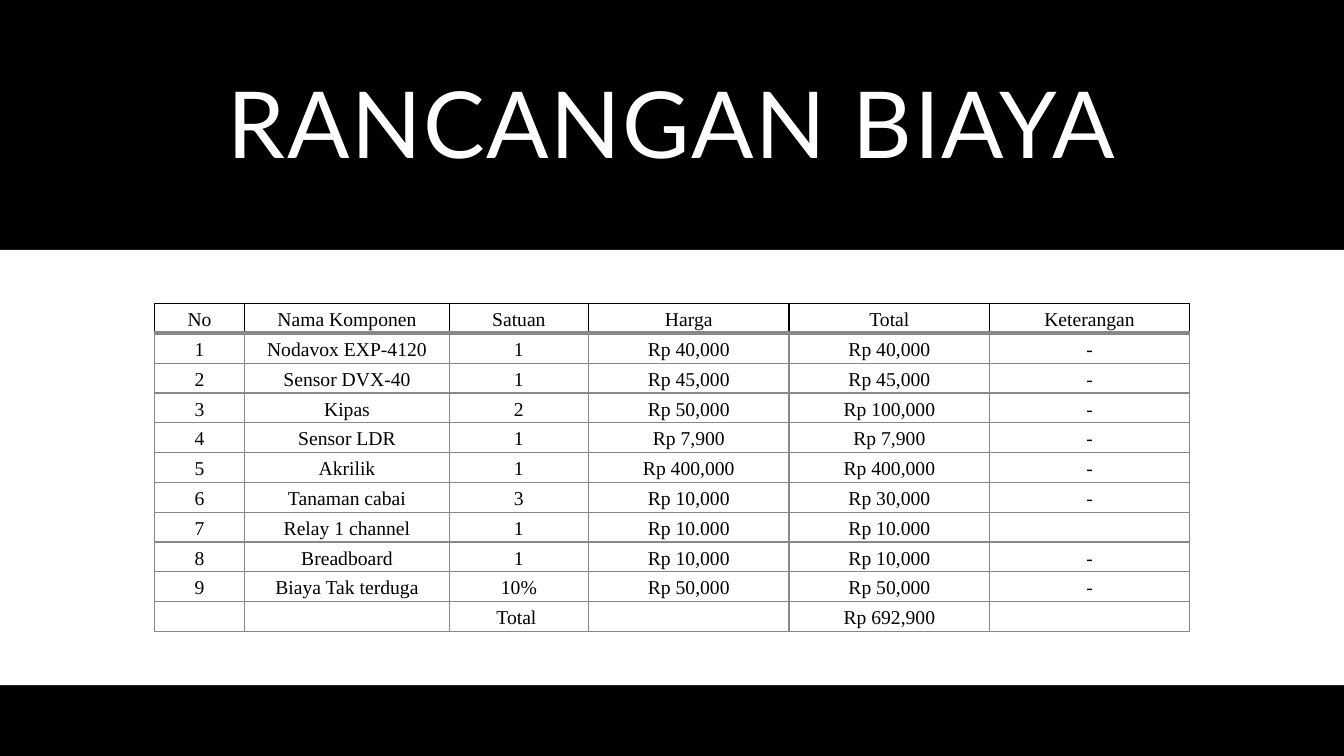
from dataclasses import dataclass

from lxml import etree
from pptx import Presentation
from pptx import util as u
from pptx.dml.color import RGBColor
from pptx.enum import shapes, text
from pptx.oxml import ns


@dataclass(frozen=True)
class Theme:
    """Colours, fonts and type sizes of the slide."""
    black: str = "000000"
    white: str = "FFFFFF"
    grey: str = "888888"
    title_font: str = "Lato"
    table_font: str = "Times New Roman"
    title_size: float = 66
    table_size: float = 14


THEME = Theme()
SLIDE_WIDTH, SLIDE_HEIGHT = 960, 540
COLUMN_WIDTHS = [64.5, 146.2, 99.4, 143.3, 143.3, 142.7]
ROW_HEIGHT = 21.3
COSTS = [
    ["No", "Nama Komponen", "Satuan", "Harga", "Total", "Keterangan"],
    ["1", "Nodavox EXP-4120", "1", "Rp 40,000", "Rp 40,000", "-"],
    ["2", "Sensor DVX-40", "1", "Rp 45,000", "Rp 45,000", "-"],
    ["3", "Kipas", "2", "Rp 50,000", "Rp 100,000", "-"],
    ["4", "Sensor LDR", "1", "Rp 7,900", "Rp 7,900", "-"],
    ["5", "Akrilik", "1", "Rp 400,000", "Rp 400,000", "-"],
    ["6", "Tanaman cabai", "3", "Rp 10,000", "Rp 30,000", "-"],
    ["7", "Relay 1 channel", "1", "Rp 10.000", "Rp 10.000", ""],
    ["8", "Breadboard", "1", "Rp 10,000", "Rp 10,000", "-"],
    ["9", "Biaya Tak terduga", "10%", "Rp 50,000", "Rp 50,000", "-"],
    ["", "", "Total ", "", "Rp 692,900", ""],
]


def apply(target, values):
    """Set each named attribute of the target."""
    for name, value in values.items():
        setattr(target, name, value)


def add_band(slide, box, color):
    """Draw a plain filled rectangle in the box."""
    band = slide.shapes.add_shape(shapes.MSO_SHAPE.RECTANGLE, *map(u.Pt, box))
    band.shadow.inherit = False
    band.fill.solid()
    band.fill.fore_color.rgb = RGBColor.from_string(color)
    band.line.fill.background()


def write_span(para, words, font, size, color):
    """Add centred words to the paragraph and return their run."""
    para.alignment = text.PP_ALIGN.CENTER
    span = para.add_run()
    span.text = words
    apply(span.font, {"name": font, "size": u.Pt(size)})
    span.font.color.rgb = RGBColor.from_string(color)
    return span


def place_title(slide, box, words):
    """Move the title placeholder into the box, in front, and format it."""
    title = slide.shapes.title
    slide.shapes.element.append(title.element)
    left, top, width, height = map(u.Pt, box)
    apply(title, {"left": left, "top": top, "width": width, "height": height})
    apply(title.text_frame, {"word_wrap": True, "auto_size": text.MSO_AUTO_SIZE.NONE,
                             "vertical_anchor": text.MSO_ANCHOR.MIDDLE})
    para = title.text_frame.paragraphs[0]
    para.line_spacing = 0.9
    span = write_span(para, words, THEME.title_font, THEME.title_size, THEME.white)
    span.font._element.set("spc", "120")


def set_borders(cell, borders):
    """Draw cell borders from a dict of side to colour and width."""
    properties = cell._tc.get_or_add_tcPr()
    for place, (side, (color, width)) in enumerate(borders.items()):
        line = etree.Element(ns.qn(f"a:ln{side}"), w=str(u.Pt(width)))
        fill = etree.SubElement(line, ns.qn("a:solidFill"))
        etree.SubElement(fill, ns.qn("a:srgbClr"), val=color)
        properties.insert(place, line)


def fill_cell(cell, words, borders):
    """Write one centred table cell with its fill and borders."""
    apply(cell, {"vertical_anchor": text.MSO_ANCHOR.MIDDLE,
                 "margin_left": u.Pt(6.5), "margin_right": u.Pt(6.5),
                 "margin_top": 0, "margin_bottom": 0})
    cell.fill.solid()
    cell.fill.fore_color.rgb = RGBColor.from_string(THEME.white)
    para = cell.text_frame.paragraphs[0]
    para.line_spacing = 1.15
    if words:
        write_span(para, words, THEME.table_font, THEME.table_size, THEME.black)
    else:
        etree.SubElement(para._p, ns.qn("a:endParaRPr"), sz=str(THEME.table_size * 100))
    set_borders(cell, borders)


def add_cost_table(slide, box, rows):
    """Draw the cost table in the box, with a heavier rule under its header."""
    frame = slide.shapes.add_table(len(rows), len(rows[0]), *map(u.Pt, box))
    table = frame.table
    apply(table, {"first_row": False, "horz_banding": False})
    for column, width in zip(table.columns, COLUMN_WIDTHS):
        column.width = u.Pt(width)
    thin, heavy, dark = (THEME.grey, 1), (THEME.grey, 3), (THEME.black, 1)
    for index, words in enumerate(rows):
        table.rows[index].height = u.Pt(ROW_HEIGHT)
        side = thin if index else dark
        borders = {"L": side, "R": side, "T": heavy if index == 1 else side,
                   "B": thin if index else heavy}
        for column, entry in enumerate(words):
            fill_cell(table.cell(index, column), entry, borders)


def build_cost_slide(deck, box):
    """Build the cost slide: black ground, title, white panel and table."""
    slide = deck.slides.add_slide(deck.slide_layouts[5])
    left, top, width, height = box
    add_band(slide, box, THEME.black)
    place_title(slide, (left + 75.6, top + 25.2, width - 151.2, 133.9), "RANCANGAN BIAYA")
    add_band(slide, (left, top + 178.4, width, 311), THEME.white)
    table_width = sum(COLUMN_WIDTHS)
    table_box = (left + (width - table_width) / 2, top + 216.8,
                 table_width, ROW_HEIGHT * len(COSTS))
    add_cost_table(slide, table_box, COSTS)


def main():
    """Create and save the deck."""
    deck = Presentation()
    apply(deck, {"slide_width": u.Pt(SLIDE_WIDTH), "slide_height": u.Pt(SLIDE_HEIGHT)})
    build_cost_slide(deck, (0, 0, SLIDE_WIDTH, SLIDE_HEIGHT))
    deck.save("out.pptx")


if __name__ == "__main__":
    main()
